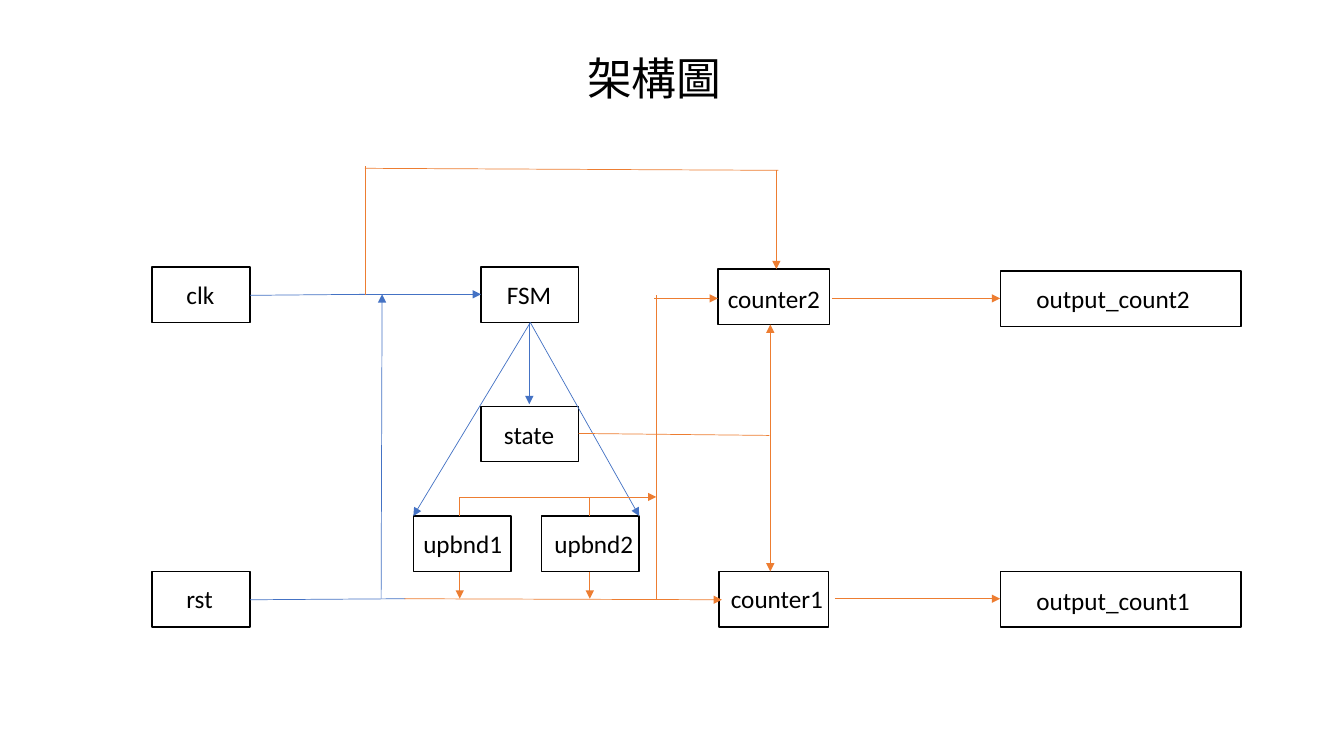
import dataclasses

import pptx
import pptx.dml.color
import pptx.enum.shapes
import pptx.enum.text
import pptx.oxml.ns
import pptx.util
from lxml import etree
from pptx.util import Inches

COLORS = {"ink": "000000", "paper": "FFFFFF", "control": "4472C4", "data": "ED7D31"}
FONT = "Calibri"
BLOCK_HEIGHT = 0.55
LABEL_HEIGHT = 0.4


@dataclasses.dataclass(frozen=True)
class Block:
    name: str
    left: float
    top: float
    label_left: float
    label_top: float
    label_width: float
    width: float = 0.97


@dataclasses.dataclass(frozen=True)
class Wire:
    start: tuple[float, float]
    end: tuple[float, float]
    color: str = "data"
    arrow: bool = True


BLOCKS = [
    Block("FSM", 4.77, 2.65, 4.93, 2.72, 0.65),
    Block("clk", 1.51, 2.65, 1.75, 2.72, 0.48),
    Block("rst", 1.51, 5.67, 1.75, 5.74, 0.46),
    Block("state", 4.77, 4.03, 4.9, 4.11, 0.7),
    Block("upbnd1", 4.1, 5.12, 4.1, 5.19, 1),
    Block("upbnd2", 5.37, 5.12, 5.4, 5.19, 1),
    Block("counter1", 7.13, 5.67, 7.15, 5.74, 1.13, 1.09),
    Block("counter2", 7.12, 2.67, 7.12, 2.76, 1.13, 1.11),
    Block("output_count1", 9.92, 5.67, 10.18, 5.76, 1.74, 2.39),
    Block("output_count2", 9.92, 2.69, 10.18, 2.76, 1.74, 2.39),
]

CLOCK_WIRES = [
    Wire((2.48, 2.93), (3.62, 2.92), "control", False),
    Wire((3.52, 2.92), (4.77, 2.92), "control"),
    Wire((3.62, 2.93), (3.62, 1.65), arrow=False),
    Wire((3.62, 1.67), (7.72, 1.69), arrow=False),
    Wire((7.7, 1.69), (7.7, 2.67)),
]
RESET_WIRES = [
    Wire((2.48, 5.95), (4.02, 5.94), "control", False),
    Wire((3.78, 5.94), (3.79, 2.92), "control"),
    Wire((4.01, 5.94), (7.16, 5.95)),
]
FSM_WIRES = [
    Wire((5.25, 3.2), (5.25, 4.01), "control"),
    Wire((5.26, 3.2), (4.1, 5.12), "control"),
    Wire((5.26, 3.2), (6.34, 5.12), "control"),
]
STATE_WIRES = [
    Wire((5.74, 4.3), (7.63, 4.32), arrow=False),
    Wire((7.64, 4.32), (7.64, 3.22)),
    Wire((7.64, 4.3), (7.64, 5.67)),
]
BOUND_WIRES = [
    wire
    for x in (4.56, 5.85)
    for wire in (Wire((x, 5.67), (x, 5.94)), Wire((x, 5.12), (x, 4.93), arrow=False))
] + [
    Wire((4.56, 4.93), (6.51, 4.93)),
    Wire((6.51, 5.94), (6.51, 2.93), arrow=False),
    Wire((6.49, 2.96), (7.12, 2.96)),
]
OUTPUT_WIRES = [
    Wire((8.25, 2.96), (9.92, 2.96)),
    Wire((8.28, 5.94), (9.92, 5.94)),
]


def rgb(color: str) -> pptx.dml.color.RGBColor:
    return pptx.dml.color.RGBColor.from_string(COLORS[color])


def write_text(frame, text: str, *, size: float = 18, align=None, spacing=None,
               anchor=pptx.enum.text.MSO_ANCHOR.TOP, wrap: bool = False,
               fit=pptx.enum.text.MSO_AUTO_SIZE.SHAPE_TO_FIT_TEXT) -> None:
    frame.word_wrap = wrap
    frame.auto_size = fit
    frame.vertical_anchor = anchor
    paragraph = frame.paragraphs[0]
    paragraph.alignment = align
    paragraph.line_spacing = spacing
    run = paragraph.add_run()
    run.text = text
    run.font.size = pptx.util.Pt(size)
    run.font.name = FONT
    run.font.color.rgb = rgb("ink")


def draw_block(slide, block: Block) -> None:
    outline = slide.shapes.add_shape(
        pptx.enum.shapes.MSO_SHAPE.RECTANGLE, Inches(block.left), Inches(block.top),
        Inches(block.width), Inches(BLOCK_HEIGHT))
    outline.shadow.inherit = False
    outline.fill.solid()
    outline.fill.fore_color.rgb = rgb("paper")
    outline.line.color.rgb = rgb("ink")
    outline.line.width = pptx.util.Pt(1)
    label = slide.shapes.add_textbox(
        Inches(block.label_left), Inches(block.label_top),
        Inches(block.label_width), Inches(LABEL_HEIGHT))
    write_text(label.text_frame, block.name)


def draw_wire(slide, wire: Wire) -> None:
    connector = slide.shapes.add_connector(
        pptx.enum.shapes.MSO_CONNECTOR.STRAIGHT,
        *(Inches(value) for value in wire.start + wire.end))
    connector.line.color.rgb = rgb(wire.color)
    connector.line.width = pptx.util.Pt(0.5)
    if wire.arrow:
        etree.SubElement(connector.line._get_or_add_ln(),
                         pptx.oxml.ns.qn("a:tailEnd"), type="triangle")
    etree.SubElement(connector._element.spPr, pptx.oxml.ns.qn("a:effectLst"))


def main() -> None:
    deck = pptx.Presentation()
    deck.slide_width, deck.slide_height = Inches(13.33), Inches(7.5)
    slide = deck.slides.add_slide(deck.slide_layouts[5])
    title = slide.shapes.title
    title.left, title.top = Inches(0.74), Inches(0.46)
    title.width, title.height = Inches(11.5), Inches(0.69)
    write_text(title.text_frame, "架構圖", size=32, spacing=0.9, wrap=True,
               align=pptx.enum.text.PP_ALIGN.CENTER,
               anchor=pptx.enum.text.MSO_ANCHOR.MIDDLE,
               fit=pptx.enum.text.MSO_AUTO_SIZE.NONE)
    for block in BLOCKS:
        draw_block(slide, block)
    for wire in (CLOCK_WIRES + RESET_WIRES + FSM_WIRES
                 + STATE_WIRES + BOUND_WIRES + OUTPUT_WIRES):
        draw_wire(slide, wire)
    deck.save("out.pptx")


if __name__ == "__main__":
    main()
